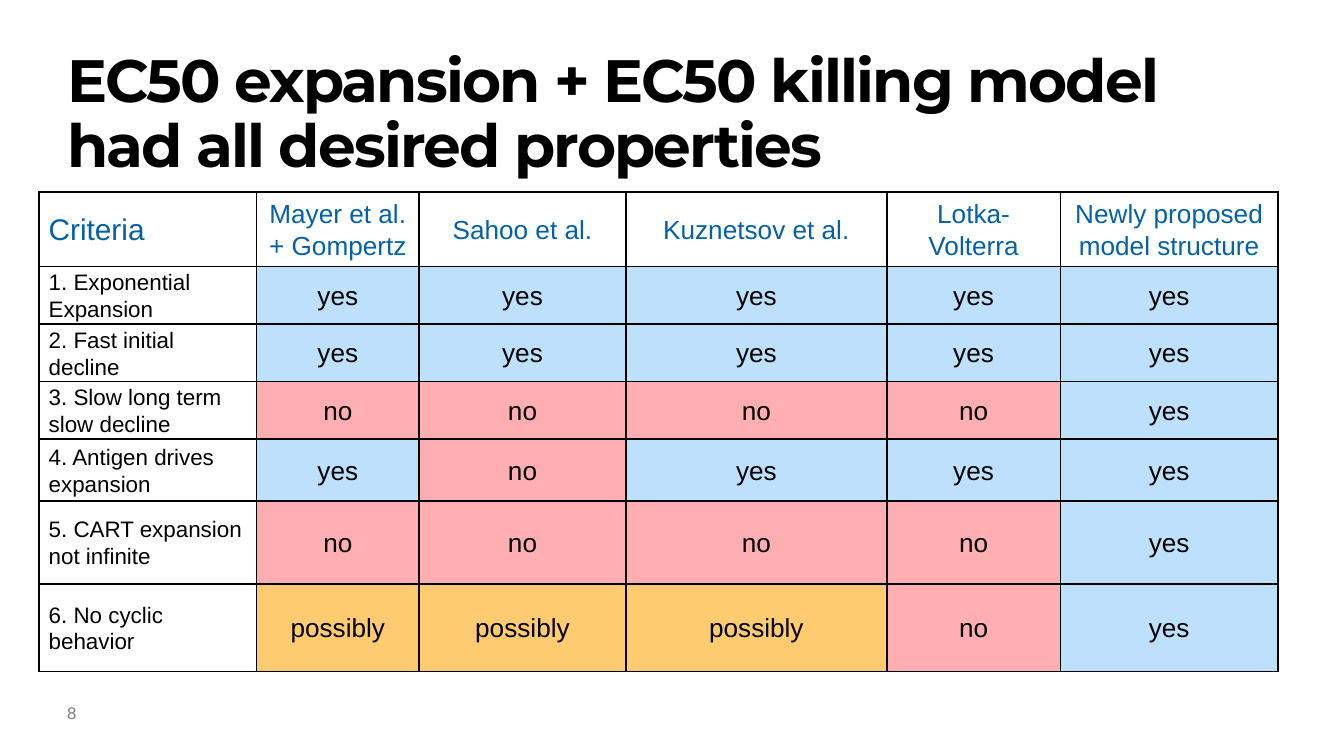
import pptx
import pptx.util
import pptx.dml.color
import pptx.enum.text
import pptx.oxml
import pptx.oxml.ns

Cm = pptx.util.Cm
Pt = pptx.util.Pt
RGBColor = pptx.dml.color.RGBColor

BLACK = RGBColor(0x00, 0x00, 0x00)
GREY = RGBColor(0x7F, 0x7F, 0x7F)
HEADER_BLUE = RGBColor(0x04, 0x60, 0xA9)
ANSWER_FILLS = {
    "yes": RGBColor(0xBD, 0xE1, 0xFD),
    "no": RGBColor(0xFF, 0xAF, 0xB1),
    "possibly": RGBColor(0xFF, 0xCB, 0x70),
}

HEADERS = ["Criteria", "Mayer et al.\n+ Gompertz", "Sahoo et al.", "Kuznetsov et al.",
           "Lotka-Volterra", "Newly proposed model structure"]
CRITERIA = [
    ["1. Exponential Expansion", "yes", "yes", "yes", "yes", "yes"],
    ["2. Fast initial decline", "yes", "yes", "yes", "yes", "yes"],
    ["3. Slow long term slow decline", "no", "no", "no", "no", "yes"],
    ["4. Antigen drives expansion", "yes", "no", "yes", "yes", "yes"],
    ["5. CART expansion not infinite", "no", "no", "no", "no", "yes"],
    ["6. No cyclic behavior", "possibly", "possibly", "possibly", "no", "yes"],
]
ROWS = [HEADERS] + CRITERIA
COLUMN_WIDTHS = [4.11, 3.07, 3.91, 4.93, 3.28, 4.11]
ROW_HEIGHTS = [1.41, 1.02, 1.02, 1.02, 1.17, 1.57, 1.65]


def add_text(slide, text, left, top, width, height):
    """Add a wrapping text box without margins and return its paragraph."""
    frame = slide.shapes.add_textbox(Cm(left), Cm(top), Cm(width), Cm(height)).text_frame
    frame.word_wrap = True
    frame.margin_left = frame.margin_right = frame.margin_top = frame.margin_bottom = 0
    frame.text = text
    return frame.paragraphs[0]


def add_borders(cell):
    """Draw a 1 pt black line on each side, placed before the cell fill."""
    properties = cell._tc.get_or_add_tcPr()
    for position, side in enumerate(("lnL", "lnR", "lnT", "lnB")):
        properties.insert(position, pptx.oxml.parse_xml(
            f'<a:{side} {pptx.oxml.ns.nsdecls("a")} w="{Pt(1)}">'
            f'<a:solidFill><a:srgbClr val="{BLACK}"/></a:solidFill></a:{side}>'))


presentation = pptx.Presentation()
presentation.slide_width = Cm(25.4)
presentation.slide_height = Cm(14.29)
slide = presentation.slides.add_slide(presentation.slide_layouts[6])

title = add_text(slide, "EC50 expansion + EC50 killing model had all desired properties",
                 1.27, 0.97, 22.86, 2.67)
title.line_spacing = 0.9
title.font.name = "Montserrat"
title.font.size = Pt(32)
title.font.bold = True
title.font.color.rgb = BLACK
title.runs[0].font._element.set("spc", "-100")

page_number = add_text(slide, "8", 1.27, 13.28, 0.64, 0.64)
page_number.font.name = "Arial"
page_number.font.size = Pt(9)
page_number.font.color.rgb = GREY

table = slide.shapes.add_table(
    len(ROWS), len(HEADERS), Cm(0.74), Cm(3.63),
    Cm(sum(COLUMN_WIDTHS)), Cm(sum(ROW_HEIGHTS))).table
table.first_row = False
table.horz_banding = False
for column, width in zip(table.columns, COLUMN_WIDTHS):
    column.width = Cm(width)
for row, height in zip(table.rows, ROW_HEIGHTS):
    row.height = Cm(height)

for row_index, row_texts in enumerate(ROWS):
    is_header = row_index == 0
    for column_index, text in enumerate(row_texts):
        is_label = column_index == 0
        cell = table.cell(row_index, column_index)
        cell.text = text
        cell.vertical_anchor = pptx.enum.text.MSO_ANCHOR.MIDDLE
        cell.margin_left = cell.margin_right = Cm(0.18)
        cell.margin_top = cell.margin_bottom = 0
        if text in ANSWER_FILLS:
            cell.fill.solid()
            cell.fill.fore_color.rgb = ANSWER_FILLS[text]
        else:
            cell.fill.background()
        add_borders(cell)

        if is_label:
            size = 16 if is_header else 12
        else:
            size = 14
        for paragraph in cell.text_frame.paragraphs:
            paragraph.line_spacing = 1.07
            if not is_label:
                paragraph.alignment = pptx.enum.text.PP_ALIGN.CENTER
            paragraph.font.name = "Arial"
            paragraph.font.size = Pt(size)
            paragraph.font.color.rgb = HEADER_BLUE if is_header else BLACK

presentation.save("out.pptx")
